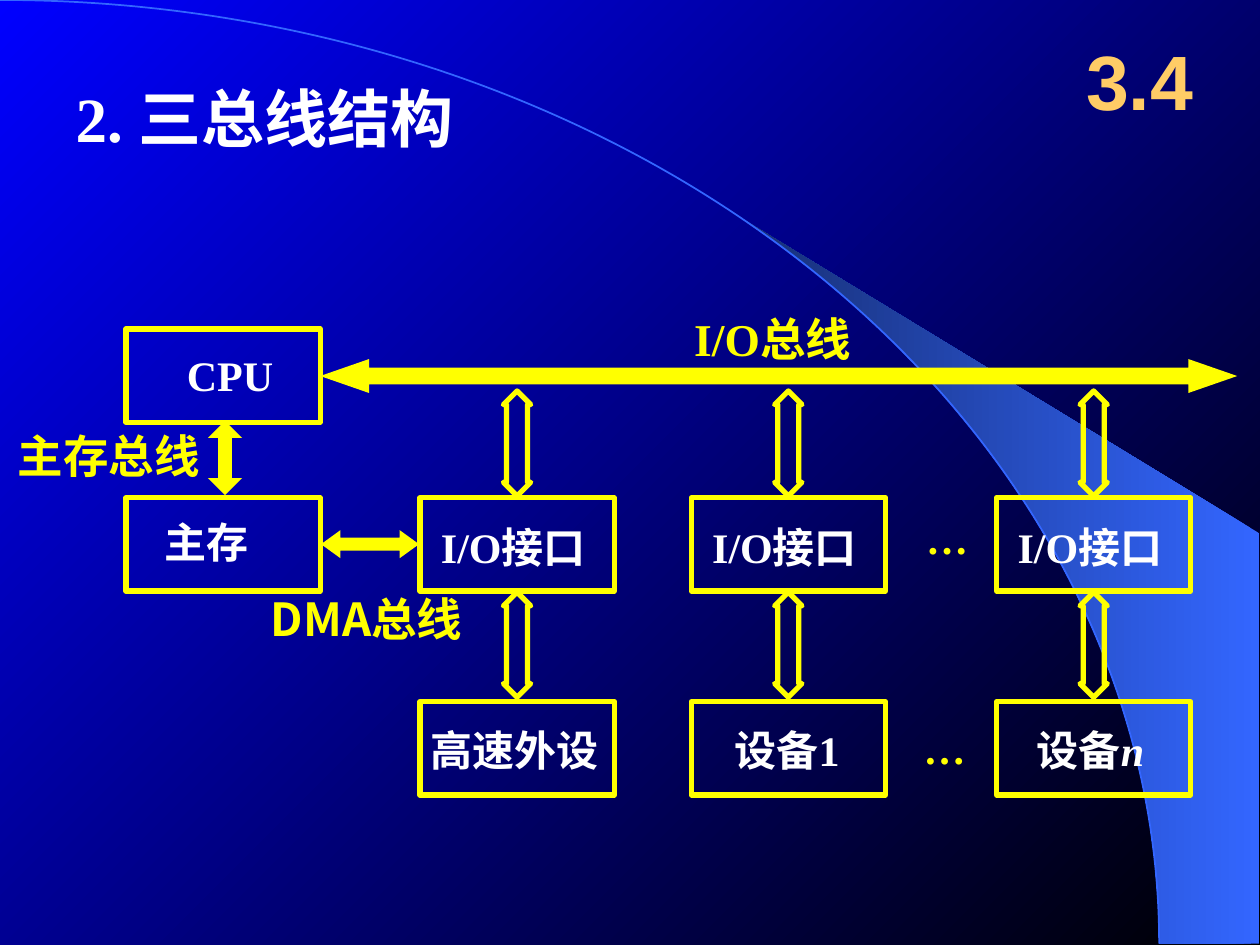
from math import cos, radians, sin

from lxml.etree import SubElement
from pptx import Presentation
from pptx.dml.color import RGBColor
from pptx.enum.shapes import MSO_SHAPE
from pptx.enum.text import MSO_ANCHOR, PP_ALIGN
from pptx.oxml.ns import qn
from pptx.util import Pt

YELLOW, WHITE, GOLD, SKY = "FFFF00", "FFFFFF", "FFCC66", "3366FF"
SERIF, SANS, CJK = "Times New Roman", "Arial", "Noto Sans CJK SC"

# Content: boxes as (left, top, left inset, top inset, upright text, italic text)
BOX_W, BOX_H = 111, 53.3
CPU_LEFT, IO_LEFTS = 72, (240, 395, 569.5)
CPU_TOP, IO_TOP, DEVICE_TOP = 188, 284.5, 401
DEVICES = [("高速外设", "", 6), ("设备1", "", 24.8), ("设备", "n", 23)]

boxes = [
    (CPU_LEFT, CPU_TOP, 34.8, 11.5, "CPU", ""),
    (CPU_LEFT, IO_TOP, 22.3, 10.7, "主存", ""),
]
for left, (device, index, inset) in zip(IO_LEFTS, DEVICES):
    boxes.append((left, IO_TOP, 12, 13.6, "I/O接口", ""))
    boxes.append((left, DEVICE_TOP, inset, 13, device, index))

# Bus arrows: shape, left, top, width, height, shaft ratio, head ratio
buses = [
    (MSO_SHAPE.UP_DOWN_ARROW, 118.8, 240.5, 19.6, 42.5, 0.52, 0.4),
    (MSO_SHAPE.LEFT_RIGHT_ARROW, 183.5, 303, 56, 16, 0.46, 0.69),
    (MSO_SHAPE.LEFT_RIGHT_ARROW, 183, 205.2, 524, 19.4, 0.5, 1.44),
]

# Labels: text, left, top, width, height, size, font
labels = [
    ("主存总线", 10.1, 244.8, 104.4, 31, 26, CJK),
    ("DMA总线", 154.8, 337.7, 120.2, 31, 26, CJK),
    ("I/O总线", 396.7, 177.8, 96, 31.7, 26, SERIF),
    ("…", 529.2, 293, 24, 28.8, 24, SERIF),
    ("…", 527.8, 412.6, 24, 28.8, 24, SERIF),
]

prs = Presentation()
prs.slide_width, prs.slide_height = Pt(720), Pt(540)
slide = prs.slides.add_slide(prs.slide_layouts[6])


def rgb(value):
    return RGBColor.from_string(value)


def set_gradient(fill, start, end, angle):
    fill.gradient()
    fill.gradient_angle = angle
    for stop, color in zip(fill.gradient_stops, (start, end)):
        stop.color.rgb = rgb(color)


def add_outline(kind, left, top, width, height, color, weight):
    shape = slide.shapes.add_shape(kind, Pt(left), Pt(top), Pt(width), Pt(height))
    shape.shadow.inherit = False
    shape.fill.background()
    shape.line.color.rgb = rgb(color)
    shape.line.width = Pt(weight)
    return shape


def add_arrow(kind, left, top, width, height, shaft, head, filled):
    arrow = add_outline(kind, left, top, width, height, YELLOW, 3)
    arrow.adjustments[0], arrow.adjustments[1] = shaft, head
    if filled:
        arrow.fill.solid()
        arrow.fill.fore_color.rgb = rgb(YELLOW)
        arrow.line.fill.background()
    else:
        SubElement(arrow.line._get_or_add_ln(), qn("a:round"))


def write(frame, text, size, font, color, italic_text="", inset=(0, 0)):
    frame.margin_left, frame.margin_top = Pt(inset[0]), Pt(inset[1])
    frame.margin_right = frame.margin_bottom = 0
    frame.vertical_anchor = MSO_ANCHOR.TOP
    frame.text = text
    paragraph = frame.paragraphs[0]
    paragraph.alignment = PP_ALIGN.LEFT
    if italic_text:
        run = paragraph.add_run()
        run.text = italic_text
        run.font.italic = True
    for run in paragraph.runs:
        run.font.size, run.font.name, run.font.bold = Pt(size), font, True
        run.font.color.rgb = rgb(color)
        SubElement(run.font._element, qn("a:ea"), typeface=CJK)
    return paragraph


def add_label(text, left, top, width, height, size, font, color=YELLOW, wrap=False):
    label = slide.shapes.add_textbox(Pt(left), Pt(top), Pt(width), Pt(height))
    label.text_frame.word_wrap = wrap
    return label, write(label.text_frame, text, size, font, color)


# Background: gradient, swoosh and the ellipse arc that bounds it
set_gradient(slide.background.fill, "000000", "0000FF", 135)
ARC_W, ARC_H, EDGE = 662.4, 539.2, 719.3
angles = [radians(39.8 + 50.2 * step / 20) for step in range(21)]
curve = [(Pt(ARC_W * sin(a)), Pt(ARC_H * (1 - cos(a)))) for a in angles]
builder = slide.shapes.build_freeform(*curve[0], scale=1.0)
builder.add_line_segments(curve[1:] + [(Pt(EDGE), Pt(ARC_H)), (Pt(EDGE), Pt(304.6))])
swoosh = builder.convert_to_shape()
swoosh.shadow.inherit = False
set_gradient(swoosh.fill, SKY, "172F75", 180)
swoosh.line.fill.background()
add_outline(MSO_SHAPE.ARC, -ARC_W, 0, 2 * ARC_W, 2 * ARC_H, SKY, 1)

# Heading and section number
_, heading = add_label("2. 三总线结构", 43.2, 45.4, 597.6, 50, 36, SERIF, WHITE, True)
heading.space_before = Pt(9)
section, number = add_label("3.4", 606.2, 12.2, 90, 66.2, 44, SANS, GOLD, True)
section.text_frame.vertical_anchor = MSO_ANCHOR.MIDDLE
number.alignment = PP_ALIGN.CENTER

# Buses, with a hollow arrow above and below each interface
for bus in buses:
    add_arrow(*bus, filled=True)
ARROW_W, ARROW_H = 15.6, 60
for left in IO_LEFTS:
    for top in (223.4, 338.4):
        add_arrow(MSO_SHAPE.UP_DOWN_ARROW, left + (BOX_W - ARROW_W) / 2, top,
                  ARROW_W, ARROW_H, 0.5, 0.77, filled=False)

# Boxes and labels
for left, top, inset_left, inset_top, text, italic_text in boxes:
    box = add_outline(MSO_SHAPE.RECTANGLE, left, top, BOX_W, BOX_H, YELLOW, 3)
    write(box.text_frame, text, 24, SERIF, WHITE, italic_text, (inset_left, inset_top))
for label in labels:
    add_label(*label)

prs.save("out.pptx")
